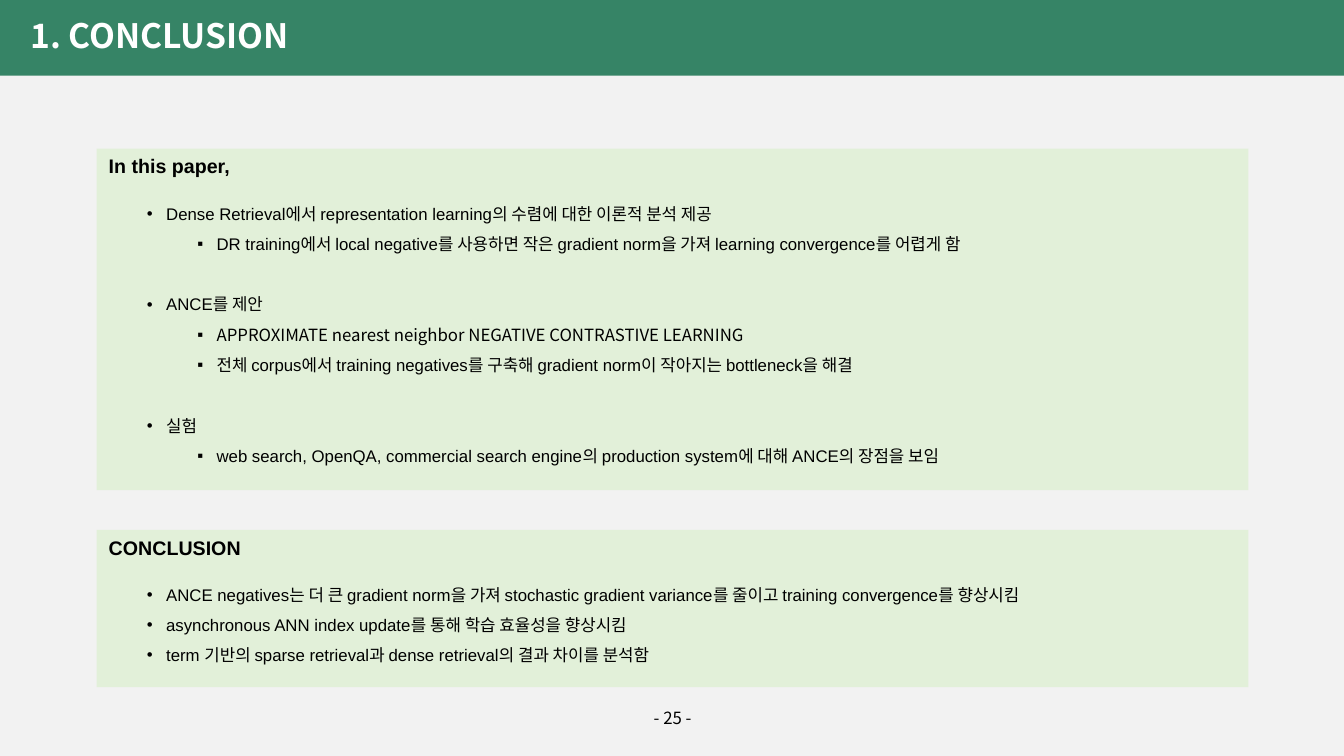
from lxml import etree
from pptx import Presentation
from pptx.dml.color import RGBColor
from pptx.enum.shapes import MSO_SHAPE
from pptx.enum.text import MSO_ANCHOR, MSO_AUTO_SIZE, PP_ALIGN
from pptx.oxml.ns import qn
from pptx.util import Inches, Pt

RECTANGLE = MSO_SHAPE.RECTANGLE
TOP = MSO_ANCHOR.TOP
NO_FIT = MSO_AUTO_SIZE.NONE
LEFT, CENTER = PP_ALIGN.LEFT, PP_ALIGN.CENTER

BACKGROUND = RGBColor(0xF2, 0xF2, 0xF2)
GREEN = RGBColor(0x36, 0x84, 0x66)
PALE_GREEN = RGBColor(0xE2, 0xF0, 0xD9)
BLACK = RGBColor(0, 0, 0)
WHITE = RGBColor(0xFF, 0xFF, 0xFF)

LATIN = "Arial"
KOREAN = "Noto Sans CJK KR"
WIDTH, HEIGHT = Inches(13.33), Inches(7.5)
COLUMNS = ROWS = 100
BULLETS = ("•", "▪")
BULLET_HANG = 0.19
LEVEL_STEP = 0.5
GROUP_GAP = 21.7

CONTRIBUTIONS = [
    [(0, "Dense Retrieval에서 representation learning의 수렴에 대한 이론적 분석 제공", LATIN),
     (1, "DR training에서 local negative를 사용하면 작은 gradient norm을 가져 "
         "learning convergence를 어렵게 함", LATIN)],
    [(0, "ANCE를 제안", LATIN),
     (1, "APPROXIMATE nearest neighbor NEGATIVE CONTRASTIVE LEARNING", KOREAN),
     (1, "전체 corpus에서 training negatives를 구축해 gradient norm이 작아지는 "
         "bottleneck을 해결", LATIN)],
    [(0, "실험", LATIN),
     (1, "web search, OpenQA, commercial search engine의 production system에 대해 "
         "ANCE의 장점을 보임", LATIN)],
]
FINDINGS = [
    [(0, "ANCE negatives는 더 큰 gradient norm을 가져 stochastic gradient variance를 "
         "줄이고 training convergence를 향상시킴", LATIN),
     (0, "asynchronous ANN index update를 통해 학습 효율성을 향상시킴", LATIN),
     (0, "term 기반의 sparse retrieval과 dense retrieval의 결과 차이를 분석함", LATIN)],
]


def write(paragraph, text, size=12, font=LATIN, color=BLACK, bold=False,
          align=LEFT, spacing=1.0, before=0):
    paragraph.alignment = align
    paragraph.line_spacing = spacing
    paragraph.space_before = Pt(before)
    run = paragraph.add_run()
    run.text = text
    run.font.size = Pt(size)
    run.font.name = font
    run.font.bold = bold
    run.font.color.rgb = color
    east_asian = etree.SubElement(run.font._element, qn("a:ea"))
    east_asian.set("typeface", KOREAN)


def add_bullet(paragraph, level):
    properties = paragraph._p.get_or_add_pPr()
    properties.set("marL", str(Inches(BULLET_HANG + level * LEVEL_STEP)))
    properties.set("indent", str(-Inches(BULLET_HANG)))
    etree.SubElement(properties, qn("a:buFont")).set("typeface", LATIN)
    etree.SubElement(properties, qn("a:buChar")).set("char", BULLETS[level])


class ConclusionSlide:
    def __init__(self, presentation):
        self.slide = presentation.slides.add_slide(presentation.slide_layouts[5])
        self.slide.background.fill.solid()
        self.slide.background.fill.fore_color.rgb = BACKGROUND

    def place(self, column, row, columns, rows):
        return (round(WIDTH * column / COLUMNS), round(HEIGHT * row / ROWS),
                round(WIDTH * columns / COLUMNS), round(HEIGHT * rows / ROWS))

    def band(self, *cells, fill):
        band = self.slide.shapes.add_shape(RECTANGLE, *self.place(*cells))
        band.shadow.inherit = False
        band.fill.solid()
        band.fill.fore_color.rgb = fill
        band.line.fill.background()
        return band

    def title(self, text):
        header = self.band(0, 0, COLUMNS, 10, fill=GREEN)
        heading = self.slide.shapes.title
        heading._element.addprevious(header._element)
        heading.left, heading.top, heading.width, heading.height = self.place(
            1.5, 1.33, 91.4, 6.67)
        heading.text_frame.auto_size = NO_FIT
        heading.text_frame.vertical_anchor = TOP
        write(heading.text_frame.paragraphs[0], text, size=24, font=KOREAN,
              color=WHITE, bold=True)

    def text_box(self, *cells):
        frame = self.slide.shapes.add_textbox(*self.place(*cells)).text_frame
        frame.word_wrap = True
        return frame

    def label(self, text, *cells, **style):
        write(self.text_box(*cells).paragraphs[0], text, **style)

    def bullet_list(self, groups, *cells):
        frame = self.text_box(*cells)
        paragraph = frame.paragraphs[0]
        for group_index, group in enumerate(groups):
            for item_index, (level, text, font) in enumerate(group):
                if group_index or item_index:
                    paragraph = frame.add_paragraph()
                starts_group = group_index > 0 and item_index == 0
                paragraph.level = level
                write(paragraph, text, font=font, spacing=1.5,
                      before=GROUP_GAP if starts_group else 0)
                add_bullet(paragraph, level)

    def panel(self, heading, groups, row, rows):
        self.band(7.2, row, 85.7, rows, fill=PALE_GREEN)
        self.label(heading, 7.35, row + 0.07, 40.5, 4.53, size=14, bold=True)
        self.bullet_list(groups, 10.2, row + 5.25, 81.8, rows - 8)


def main():
    presentation = Presentation()
    presentation.slide_width, presentation.slide_height = WIDTH, HEIGHT
    conclusion = ConclusionSlide(presentation)
    conclusion.title("1. CONCLUSION")
    conclusion.panel("In this paper,", CONTRIBUTIONS, 19.65, 45.2)
    conclusion.panel("CONCLUSION", FINDINGS, 70.1, 20.8)
    conclusion.label("- 25 -", 38.2, 92.93, 23.7, 4, font=KOREAN, align=CENTER)
    presentation.save("out.pptx")


if __name__ == "__main__":
    main()
